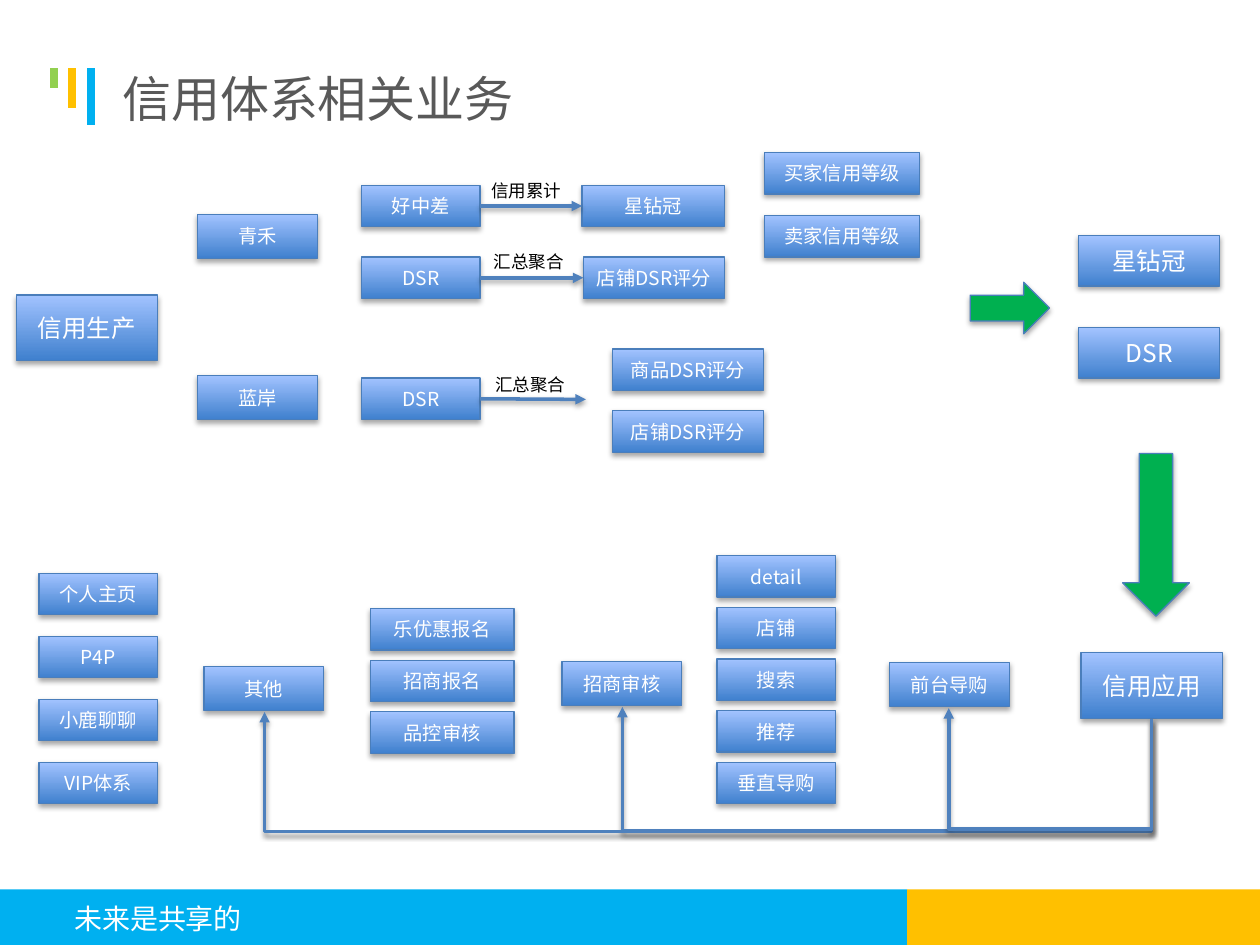
from lxml.etree import SubElement
from pptx import Presentation
from pptx.dml.color import RGBColor
from pptx.enum.shapes import MSO_CONNECTOR, MSO_SHAPE
from pptx.enum.text import MSO_ANCHOR, PP_ALIGN
from pptx.oxml.ns import qn
from pptx.util import Inches, Pt

FONT = "Noto Sans CJK SC"
WHITE = RGBColor(0xFF, 0xFF, 0xFF)
BLACK = RGBColor(0x00, 0x00, 0x00)
TITLE_GRAY = RGBColor(0x59, 0x59, 0x59)
SKY = RGBColor(0x00, 0xB0, 0xF0)
AMBER = RGBColor(0xFF, 0xC0, 0x00)
LIME = RGBColor(0x92, 0xD0, 0x50)
GREEN = RGBColor(0x00, 0xB0, 0x50)
BOX_DARK = RGBColor(0x3F, 0x80, 0xCE)
BOX_LIGHT = RGBColor(0xA2, 0xC3, 0xFF)
BOX_LINE = RGBColor(0x4A, 0x7E, 0xBB)
ROUTE_BLUE = RGBColor(0x4F, 0x81, 0xBD)

RECTANGLE = MSO_SHAPE.RECTANGLE
RIGHT_ARROW = MSO_SHAPE.RIGHT_ARROW
DOWN_ARROW = MSO_SHAPE.DOWN_ARROW
STRAIGHT = MSO_CONNECTOR.STRAIGHT
MIDDLE = MSO_ANCHOR.MIDDLE
TOP = MSO_ANCHOR.TOP
CENTER = PP_ALIGN.CENTER
LEFT = PP_ALIGN.LEFT
LEFT_SIDE, RIGHT_SIDE = 1, 3


def add_shadow(shape, opacity=35, distance=1.8):
    effects = SubElement(shape.element.spPr, qn("a:effectLst"))
    shadow = SubElement(effects, qn("a:outerShdw"), blurRad=str(Pt(3)),
                        dist=str(Pt(distance)), dir="5400000", rotWithShape="0")
    color = SubElement(shadow, qn("a:srgbClr"), val="000000")
    SubElement(color, qn("a:alpha"), val=str(opacity * 1000))


def write_text(shape, text, size, color, align=CENTER, anchor=MIDDLE, margin=0.0):
    frame = shape.text_frame
    frame.word_wrap = True
    frame.vertical_anchor = anchor
    frame.margin_left = frame.margin_right = Inches(margin)
    frame.margin_top = frame.margin_bottom = Inches(margin)
    frame.text = text
    paragraph = frame.paragraphs[0]
    paragraph.alignment = align
    font = paragraph.runs[0].font
    font.size = Pt(size)
    font.color.rgb = color
    font.name = FONT
    for properties in shape.element.iter(qn("a:rPr")):
        SubElement(properties, qn("a:ea"), typeface=FONT)


def add_preset(slide, kind, left, top, width, height):
    return slide.shapes.add_shape(kind, Inches(left), Inches(top),
                                  Inches(width), Inches(height))


def add_box(slide, text, left, top, width=0.94, height=0.33, size=11):
    box = add_preset(slide, RECTANGLE, left, top, width, height)
    box.fill.gradient()
    box.fill.gradient_angle = 90
    for stop, color in zip(box.fill.gradient_stops, (BOX_DARK, BOX_LIGHT)):
        stop.color.rgb = color
    box.line.color.rgb = BOX_LINE
    box.line.width = Pt(0.75)
    add_shadow(box)
    write_text(box, text, size, WHITE)
    return box


def add_stack(slide, texts, left, top, step, width=0.94):
    for index, text in enumerate(texts):
        add_box(slide, text, left, top + index * step, width)


def add_block_arrow(slide, kind, left, top, width, height):
    arrow = add_preset(slide, kind, left, top, width, height)
    arrow.fill.solid()
    arrow.fill.fore_color.rgb = GREEN
    arrow.line.color.rgb = BOX_LINE
    arrow.line.width = Pt(0.75)
    add_shadow(arrow)


def add_band(slide, left, width, height, color):
    band = add_preset(slide, RECTANGLE, left, 7.06, width, height)
    band.fill.solid()
    band.fill.fore_color.rgb = color
    band.line.fill.background()
    band.shadow.inherit = False
    return band


def add_line(slide, start_x, start_y, end_x, end_y):
    return slide.shapes.add_connector(STRAIGHT, Inches(start_x), Inches(start_y),
                                      Inches(end_x), Inches(end_y))


def add_title_bar(slide, x, bottom, color):
    bar = add_line(slide, x, 0.54, x, bottom)
    bar.line.color.rgb = color
    bar.line.width = Pt(4.5)
    SubElement(bar.element.spPr, qn("a:effectLst"))


def style_route(route):
    route.line.color.rgb = ROUTE_BLUE
    route.line.width = Pt(2)
    SubElement(route.element.spPr.find(qn("a:ln")), qn("a:tailEnd"), type="triangle")
    add_shadow(route, 38, 1.6)


def add_arrow(slide, source, y, end_x, target=None):
    arrow = add_line(slide, 3.81, y, end_x, y)
    arrow.begin_connect(source, RIGHT_SIDE)
    if target is not None:
        arrow.end_connect(target, LEFT_SIDE)
    style_route(arrow)


def add_return_route(slide, end_x, end_y, low_y):
    start_x, start_y = 9.14, 5.71
    builder = slide.shapes.build_freeform(Inches(start_x), Inches(start_y))
    corners = [(start_x, low_y), (end_x, low_y), (end_x, end_y)]
    builder.add_line_segments([(Inches(x), Inches(y)) for x, y in corners], close=False)
    route = builder.convert_to_shape()
    route.fill.background()
    style_route(route)


def add_label(slide, text, left, top, width, height, size=10, color=BLACK, anchor=TOP):
    label = slide.shapes.add_textbox(Inches(left), Inches(top),
                                     Inches(width), Inches(height))
    write_text(label, text, size, color, LEFT, anchor, 0.05)


def add_frame(slide):
    for x, bottom, color in ((0.72, 0.99, SKY), (0.57, 0.86, AMBER), (0.43, 0.7, LIME)):
        add_title_bar(slide, x, bottom, color)
    add_label(slide, "信用体系相关业务", 0.92, 0.35, 7.41, 0.85, 28, TITLE_GRAY, MIDDLE)
    footer = add_band(slide, -0.01, 7.21, 0.46, SKY)
    write_text(footer, "未来是共享的", 16, WHITE, LEFT)
    footer.text_frame.margin_left = Inches(0.6)
    add_band(slide, 7.2, 2.8, 0.44, AMBER)


def add_production(slide):
    add_box(slide, "信用生产", 0.13, 2.34, 1.12, 0.52, 14)
    add_box(slide, "青禾", 1.57, 1.7, 0.95, 0.35)
    add_box(slide, "蓝岸", 1.57, 2.98, 0.95, 0.35)

    review = add_box(slide, "好中差", 2.87, 1.47)
    shop_rating = add_box(slide, "DSR", 2.87, 2.04)
    mall_rating = add_box(slide, "DSR", 2.87, 3)
    level = add_box(slide, "星钻冠", 4.62, 1.47, 1.13)
    shop_score = add_box(slide, "店铺DSR评分", 4.63, 2.04, 1.12)
    add_arrow(slide, review, 1.64, 4.62, level)
    add_arrow(slide, shop_rating, 2.21, 4.63, shop_score)
    add_arrow(slide, mall_rating, 3.17, 4.65)
    add_label(slide, "信用累计", 3.85, 1.38, 0.84, 0.29)
    add_label(slide, "汇总聚合", 3.87, 1.94, 0.91, 0.29)
    add_label(slide, "汇总聚合", 3.88, 2.92, 0.99, 0.29)

    add_stack(slide, ["买家信用等级", "卖家信用等级"], 6.07, 1.21, 0.5, 1.23)
    add_stack(slide, ["商品DSR评分", "店铺DSR评分"], 4.86, 2.77, 0.49, 1.2)
    add_block_arrow(slide, RIGHT_ARROW, 7.7, 2.24, 0.63, 0.41)
    add_box(slide, "星钻冠", 8.56, 1.87, 1.12, 0.4, 14)
    add_box(slide, "DSR", 8.56, 2.6, 1.12, 0.4, 14)


def add_application(slide):
    add_block_arrow(slide, DOWN_ARROW, 8.91, 3.6, 0.53, 1.29)
    add_box(slide, "信用应用", 8.58, 5.18, 1.12, 0.52, 14)
    add_box(slide, "前台导购", 7.06, 5.26, 0.95, 0.35)
    add_box(slide, "招商审核", 4.46, 5.25, 0.95, 0.35)
    add_box(slide, "其他", 1.62, 5.29, 0.95, 0.35)
    add_stack(slide, ["detail", "店铺", "搜索", "推荐", "垂直导购"], 5.69, 4.41, 0.41)
    add_stack(slide, ["乐优惠报名", "招商报名", "品控审核"], 2.94, 4.83, 0.41, 1.14)
    add_stack(slide, ["个人主页", "P4P", "小鹿聊聊", "VIP体系"], 0.31, 4.55, 0.5)
    for end_x, end_y, low_y in ((4.94, 5.61, 6.59), (2.1, 5.65, 6.6), (7.53, 5.62, 6.58)):
        add_return_route(slide, end_x, end_y, low_y)


def main():
    presentation = Presentation()
    presentation.slide_width = Inches(10)
    presentation.slide_height = Inches(7.5)
    slide = presentation.slides.add_slide(presentation.slide_layouts[6])
    add_frame(slide)
    add_production(slide)
    add_application(slide)
    presentation.save("out.pptx")


if __name__ == "__main__":
    main()
